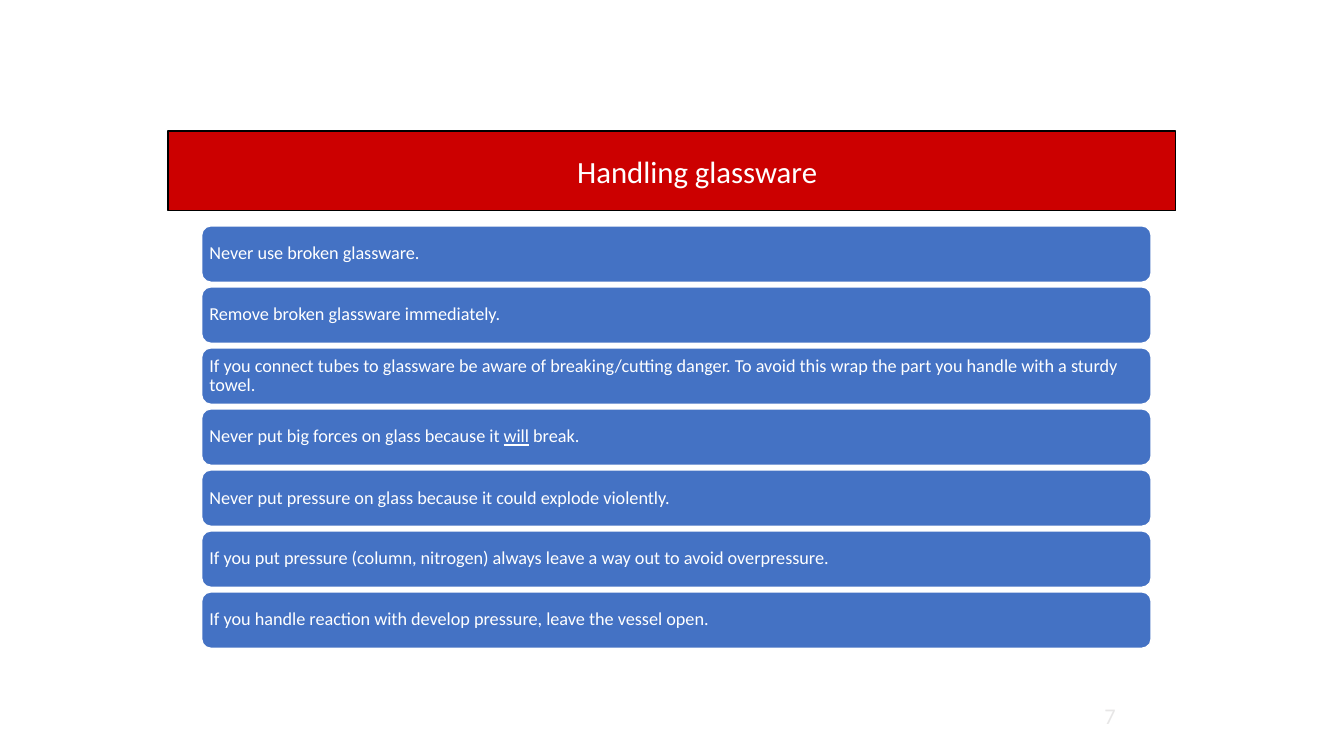
import dataclasses

import pptx
import pptx.dml.color
import pptx.enum.shapes
import pptx.enum.text
import pptx.util

Align = pptx.enum.text.PP_ALIGN
HUES = {"red": "CC0000", "blue": "4472C4", "white": "FFFFFF",
        "black": "000000", "grey": "E7E6E6"}
FONT = "Calibri"
WIDE, HIGH = pptx.util.Inches(13.33), pptx.util.Inches(7.5)


@dataclasses.dataclass(frozen=True)
class Box:
    """A frame in percent of the slide's width and height."""
    left: float
    top: float
    width: float
    height: float

    def frame(self) -> tuple[int, int, int, int]:
        return (int(WIDE * self.left / 100), int(HIGH * self.top / 100),
                int(WIDE * self.width / 100), int(HIGH * self.height / 100))


@dataclasses.dataclass(frozen=True)
class Piece:
    text: str
    under: bool = False


HEAD = Box(12.5, 17.33, 75, 10.53)
FIRST = Box(15, 29.87, 70.65, 7.47)
STEP = 8.07
PAGE = Box(75, 92, 8.75, 5.33)

RULES = [
    [Piece("Never use broken glassware.")],
    [Piece("Remove broken glassware immediately.")],
    [Piece("If you connect tubes to glassware be aware of breaking/cutting danger. "
           "To avoid this wrap the part you handle with a sturdy towel.")],
    [Piece("Never put big forces on glass because it "), Piece("will", True),
     Piece(" break.")],
    [Piece("Never put pressure on glass because it could explode violently.")],
    [Piece("If you put pressure (column, nitrogen) always leave a way out "
           "to avoid overpressure.")],
    [Piece("If you handle reaction with develop pressure, leave the vessel open.")],
]


def tint(name: str) -> pptx.dml.color.RGBColor:
    return pptx.dml.color.RGBColor.from_string(HUES[name])


def paint(shape, fill: str, line: str, width: float) -> None:
    shape.fill.solid()
    shape.fill.fore_color.rgb = tint(fill)
    shape.line.color.rgb = tint(line)
    shape.line.width = pptx.util.Pt(width)


def write(shape, parts: list[Piece], size: float, hue: str, align: Align):
    """Fill a shape with one paragraph and return that paragraph."""
    frame = shape.text_frame
    frame.word_wrap = True
    frame.auto_size = pptx.enum.text.MSO_AUTO_SIZE.NONE
    frame.vertical_anchor = pptx.enum.text.MSO_ANCHOR.MIDDLE
    para = frame.paragraphs[0]
    para.alignment = align
    for part in parts:
        run = para.add_run()
        run.text = part.text
        run.font.name = FONT
        run.font.size = pptx.util.Pt(size)
        run.font.color.rgb = tint(hue)
        if part.under:
            run.font.underline = True
    return para


def add_rule(slide, box: Box, parts: list[Piece]) -> None:
    kind = pptx.enum.shapes.MSO_SHAPE.ROUNDED_RECTANGLE
    bar = slide.shapes.add_shape(kind, *box.frame())
    bar.shadow.inherit = False
    paint(bar, "blue", "white", 1)
    frame = bar.text_frame
    frame.margin_left = frame.margin_right = pptx.util.Inches(0.05)
    frame.margin_top = frame.margin_bottom = pptx.util.Inches(0.05)
    write(bar, parts, 13, "white", Align.LEFT).line_spacing = 0.9


def main() -> None:
    deck = pptx.Presentation()
    deck.slide_width, deck.slide_height = WIDE, HIGH
    slide = deck.slides.add_slide(deck.slide_layouts[5])

    # Title band
    title = slide.shapes.title
    title.left, title.top, title.width, title.height = HEAD.frame()
    paint(title, "red", "black", 0.75)
    para = write(title, [Piece("Handling glassware")], 22, "white", Align.CENTER)
    para._p.get_or_add_pPr().set("marL", str(pptx.util.Inches(0.5)))

    # Stack of rules
    for row, parts in enumerate(RULES):
        box = dataclasses.replace(FIRST, top=FIRST.top + row * STEP)
        add_rule(slide, box, parts)

    # Page number
    page = slide.shapes.add_textbox(*PAGE.frame())
    write(page, [Piece("7")], 16, "grey", Align.RIGHT)

    deck.save("out.pptx")


if __name__ == "__main__":
    main()
